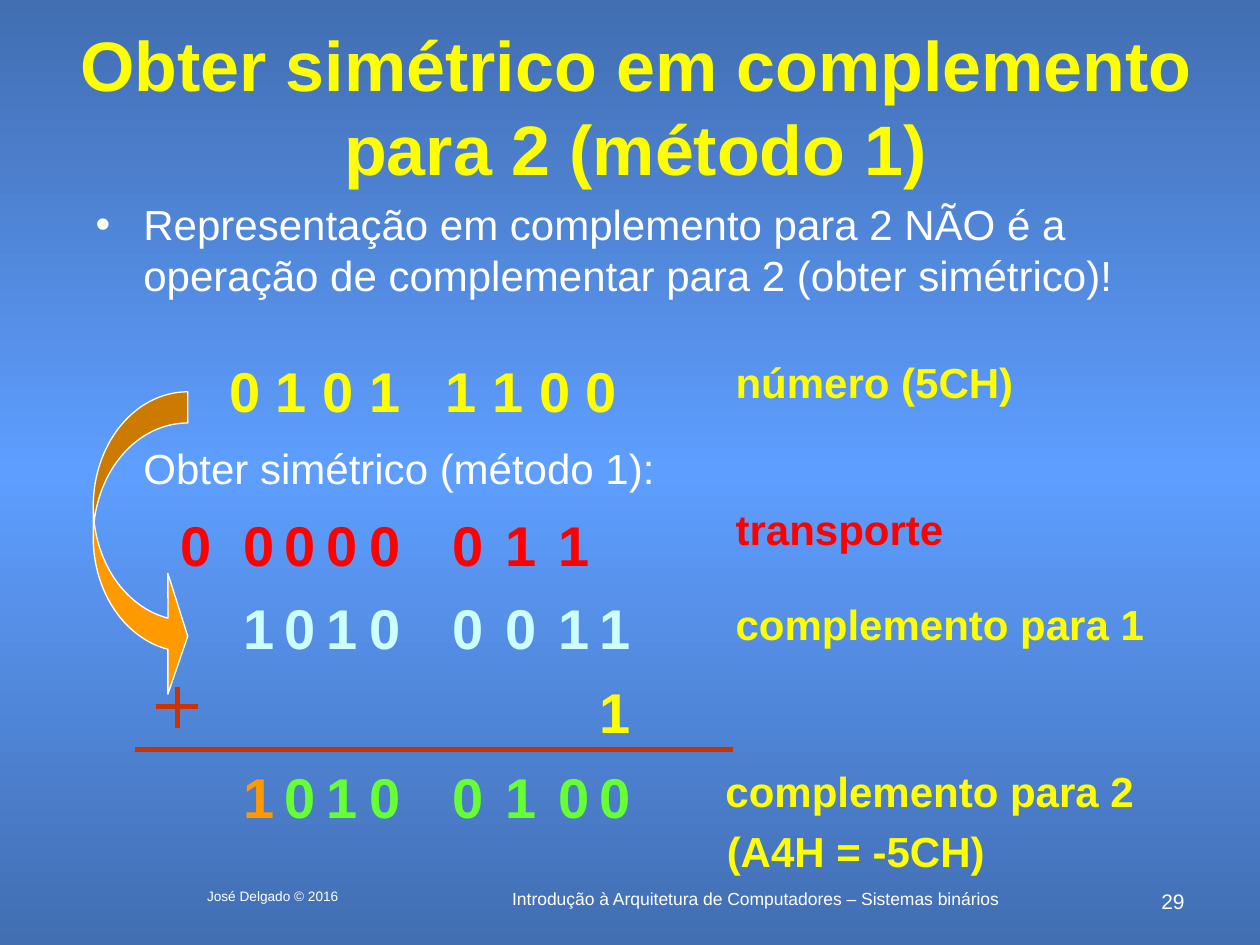
from copy import deepcopy

from lxml import etree
from pptx import Presentation
from pptx.dml.color import RGBColor
from pptx.enum.shapes import MSO_CONNECTOR, MSO_SHAPE
from pptx.enum.text import MSO_ANCHOR, PP_ALIGN
from pptx.oxml.ns import qn
from pptx.util import Inches, Pt

LEFT, CENTER, RIGHT = PP_ALIGN.LEFT, PP_ALIGN.CENTER, PP_ALIGN.RIGHT
TOP, MIDDLE = MSO_ANCHOR.TOP, MSO_ANCHOR.MIDDLE
STRAIGHT = MSO_CONNECTOR.STRAIGHT
CURVED_ARROW = MSO_SHAPE.CURVED_RIGHT_ARROW

WHITE = RGBColor(0xFF, 0xFF, 0xFF)
YELLOW = RGBColor(0xFF, 0xFF, 0x00)
RED = RGBColor(0xFF, 0x00, 0x00)
ORANGE = RGBColor(0xFF, 0x99, 0x00)
GREEN = RGBColor(0x66, 0xFF, 0x33)
PALE_CYAN = RGBColor(0xCC, 0xFF, 0xFF)
RUST = RGBColor(0xCC, 0x33, 0x00)
DEEP_BLUE = RGBColor(0x42, 0x6E, 0xB2)
BRIGHT_BLUE = RGBColor(0x5E, 0x9E, 0xFF)

DIGIT_COLUMNS = (1.33, 1.83, 2.16, 2.49, 2.83, 3.49, 3.91, 4.33, 4.66)


class SlideBuilder:
    """Hold the text style and the slide, and add each kind of element."""

    font_name = "Arial"

    def __init__(self, slide):
        self.slide = slide

    def background(self, *colors):
        fill = self.slide.background.fill
        fill.gradient()
        fill.gradient_angle = 90
        first_stop = next(self.slide.element.iter(qn("a:gs")))
        first_stop.addnext(deepcopy(first_stop))
        for index, (stop, color) in enumerate(zip(fill.gradient_stops, colors)):
            stop.color.rgb = color
            stop.position = index / (len(colors) - 1)

    def text(self, content, box, size, color, bold=False, align=LEFT,
             anchor=TOP, wrap=True, hanging=0, bullet=None, tab=None):
        frame = self.slide.shapes.add_textbox(*map(Inches, box)).text_frame
        frame.word_wrap = wrap
        frame.vertical_anchor = anchor
        paragraph = frame.paragraphs[0]
        paragraph.alignment = align
        properties = paragraph._p.get_or_add_pPr()
        if bullet:
            properties.set("marL", str(Inches(hanging)))
            properties.set("indent", str(-Inches(hanging)))
            etree.SubElement(properties, qn("a:buFont"), typeface=self.font_name)
            etree.SubElement(properties, qn("a:buChar"), char=bullet)
        if tab:
            stops = etree.SubElement(properties, qn("a:tabLst"))
            etree.SubElement(stops, qn("a:tab"), pos=str(Inches(tab)), algn="l")
        run = paragraph.add_run()
        run.text = content
        run.font.color.rgb = color
        style = {"name": self.font_name, "size": Pt(size), "bold": bold}
        for attribute, value in style.items():
            setattr(run.font, attribute, value)

    def label(self, content, left, top, width, color=YELLOW):
        self.text(content, (left, top, width, 0.5), 24, color, bold=True)

    def digits(self, bits, top, color, lead_color=None):
        for index, (bit, left) in enumerate(zip(bits, DIGIT_COLUMNS)):
            if bit != " ":
                shade = lead_color if lead_color and index == 1 else color
                self.text(bit, (left, top, 0.45, 0.64), 32, shade,
                          bold=True, align=CENTER, wrap=False)

    def line(self, *ends):
        rule = self.slide.shapes.add_connector(STRAIGHT, *map(Inches, ends))
        rule.line.color.rgb = RUST
        rule.line.width = Pt(3)
        etree.SubElement(rule._element.spPr, qn("a:effectLst"))

    def curved_arrow(self, box, proportions):
        arrow = self.slide.shapes.add_shape(CURVED_ARROW, *map(Inches, box))
        arrow.shadow.inherit = False
        arrow.fill.solid()
        arrow.fill.fore_color.rgb = ORANGE
        arrow.line.color.rgb = WHITE
        arrow.line.width = Pt(0.75)
        for index, proportion in enumerate(proportions):
            arrow.adjustments[index] = proportion


def main():
    """Build the slide on negating a number in two's complement."""
    deck = Presentation()
    deck.slide_width, deck.slide_height = Inches(10), Inches(7.5)
    builder = SlideBuilder(deck.slides.add_slide(deck.slide_layouts[6]))
    builder.background(DEEP_BLUE, BRIGHT_BLUE, DEEP_BLUE)

    builder.text("Introdução à Arquitetura de Computadores – Sistemas binários",
                 (3.33, 7, 5.33, 0.25), 10, WHITE, align=CENTER)
    builder.text("29", (9.08, 7, 0.42, 0.17), 12, WHITE, align=RIGHT)
    builder.text("José Delgado © 2016", (1.33, 7, 1.67, 0.25), 7.8, WHITE,
                 align=CENTER)

    builder.text("Obter simétrico em complemento para 2 (método 1)",
                 (0.52, 0.5, 9.05, 0.67), 40, YELLOW, bold=True,
                 align=CENTER, anchor=MIDDLE)
    builder.text("Representação em complemento para 2 NÃO é a operação de "
                 "complementar para 2 (obter simétrico)!",
                 (0.66, 1.53, 8.75, 1.17), 24, WHITE, hanging=0.38, bullet="•")

    builder.text("0 1 0 1\t1 1 0 0", (1.72, 2.78, 3.68, 0.64), 32, YELLOW,
                 bold=True, tab=1.72)
    builder.label("número (5CH)", 5.74, 2.78, 3)

    builder.digits("00000011", 4, RED)
    builder.digits(" 10100100", 6, GREEN, lead_color=ORANGE)
    builder.digits(" 10100011", 4.66, PALE_CYAN)
    builder.label("complemento para 1", 5.74, 4.7, 3.83)
    builder.curved_arrow((0.74, 3.11, 0.75, 2.42), (0.33, 1.28, 0.21))

    builder.label("transporte", 5.74, 3.95, 2.67, RED)
    builder.label("complemento para 2", 5.66, 6.03, 3.67)
    builder.line(1.07, 5.95, 5.82, 5.95)
    builder.line(1.41, 5.45, 1.41, 5.78)
    builder.line(1.24, 5.61, 1.57, 5.61)
    builder.digits("        1", 5.33, YELLOW)
    builder.label("(A4H = -5CH)", 5.67, 6.5, 2.5)
    builder.text("Obter simétrico (método 1):", (1.04, 3.46, 4.41, 0.56),
                 24, WHITE)

    deck.save("out.pptx")


if __name__ == "__main__":
    main()
